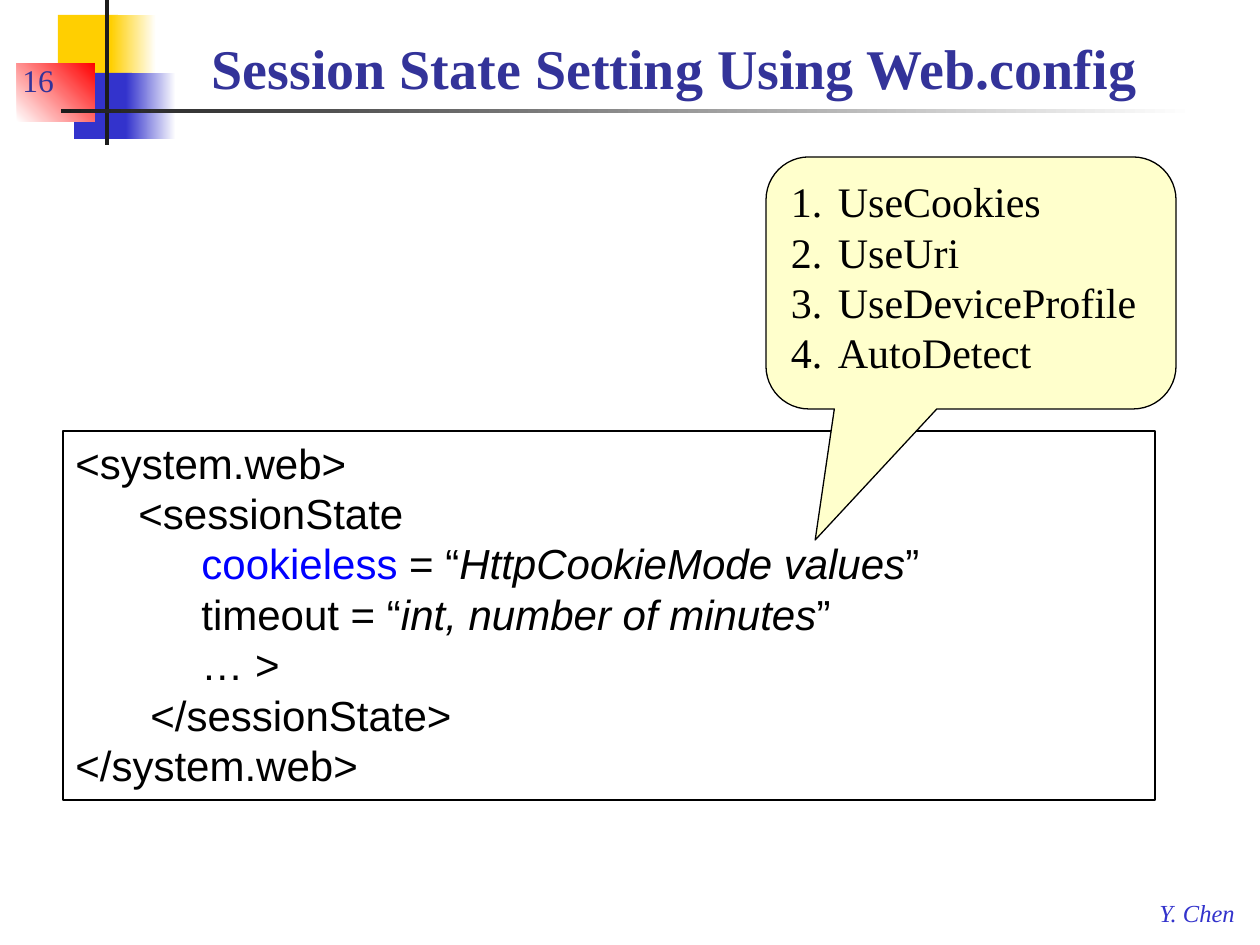
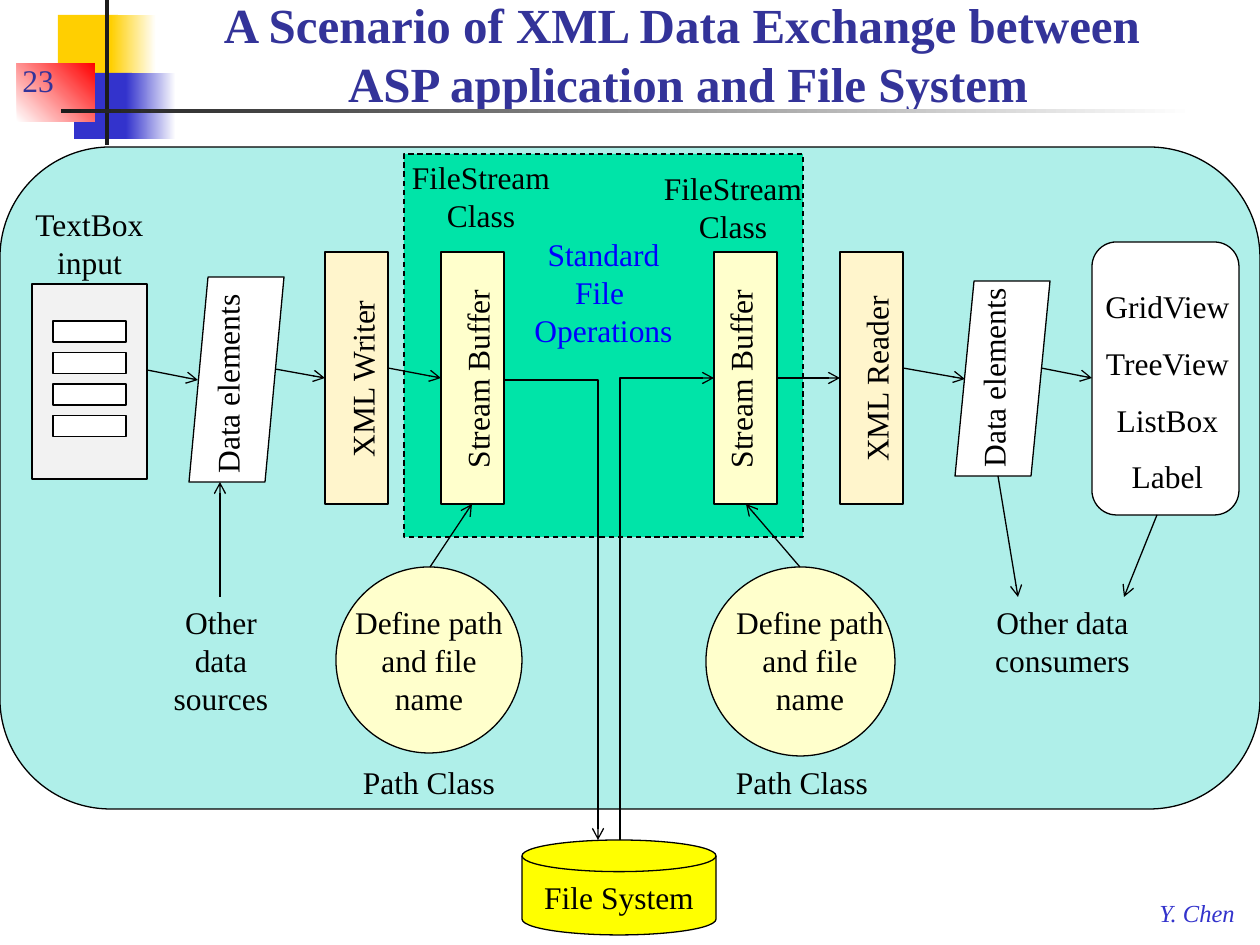
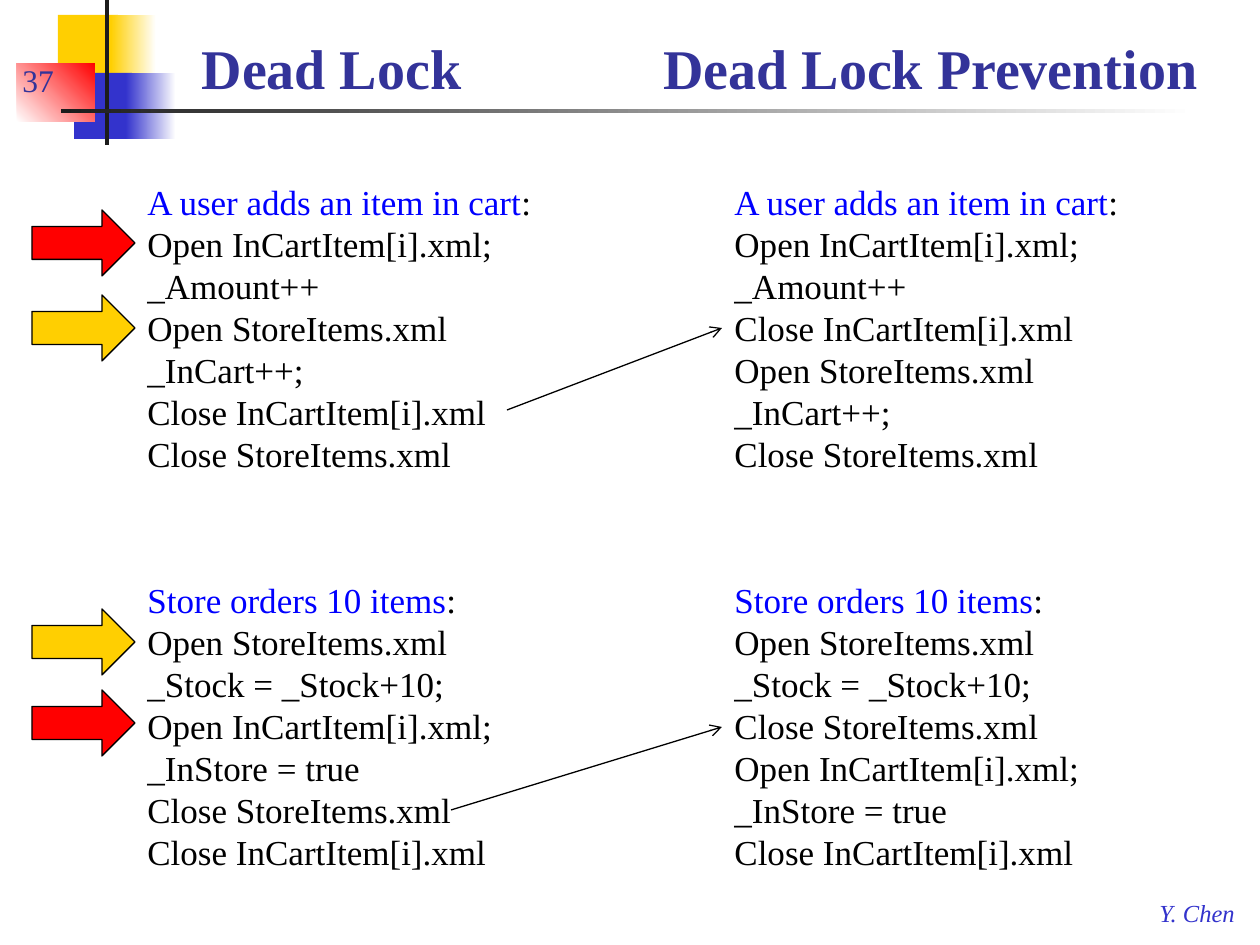
from dataclasses import dataclass

from lxml import etree
from pptx import Presentation
from pptx.dml.color import RGBColor
from pptx.enum.dml import MSO_LINE
from pptx.enum.shapes import MSO_CONNECTOR, MSO_SHAPE
from pptx.enum.text import MSO_ANCHOR, MSO_AUTO_SIZE, PP_ALIGN
from pptx.oxml.ns import qn
from pptx.util import Pt

RECTANGLE = MSO_SHAPE.RECTANGLE
ROUNDED = MSO_SHAPE.ROUNDED_RECTANGLE
CALLOUT = MSO_SHAPE.ROUNDED_RECTANGULAR_CALLOUT
DATA = MSO_SHAPE.FLOWCHART_DATA
ALTERNATE = MSO_SHAPE.FLOWCHART_ALTERNATE_PROCESS
DISK = MSO_SHAPE.FLOWCHART_MAGNETIC_DISK
ELLIPSE = MSO_SHAPE.OVAL
RIGHT_ARROW = MSO_SHAPE.RIGHT_ARROW
STRAIGHT = MSO_CONNECTOR.STRAIGHT
ELBOW = MSO_CONNECTOR.ELBOW
DASH = MSO_LINE.DASH
LEFT, CENTER = PP_ALIGN.LEFT, PP_ALIGN.CENTER
TOP, BOTTOM = MSO_ANCHOR.TOP, MSO_ANCHOR.BOTTOM
NO_AUTOFIT = MSO_AUTO_SIZE.NONE

EMU_PER_PX = 914400 / 126
SLIDE_WIDTH, SLIDE_HEIGHT = 1260, 945


@dataclass(frozen=True)
class Theme:
    serif: str = "Times New Roman"
    sans: str = "Arial"
    black: str = "000000"
    white: str = "FFFFFF"
    ink: str = "1C1C1C"
    title: str = "333399"
    blue: str = "3333CC"
    highlight: str = "0000FF"
    gold: str = "FFCF01"
    red: str = "FF0000"
    cream: str = "FFFFCC"
    wheat: str = "FFF5CC"
    yellow: str = "FFFF00"
    aqua: str = "AFEFE9"
    green: str = "00E4A8"
    gray: str = "F2F2F2"
    title_size: int = 32
    long_title_size: int = 28
    code_size: int = 24
    listing_size: int = 20
    label_size: int = 18
    footer_size: int = 14
    line_width: float = 0.75


THEME = Theme()
TITLE_FORMAT = dict(size=THEME.title_size, color=THEME.title, bold=True, anchor=BOTTOM)


def px(value):
    return round(value * EMU_PER_PX)


def box(left, top, width, height):
    return px(left), px(top), px(width), px(height)


def rgb(color):
    return RGBColor.from_string(color)


def write(shape, paragraphs, size=THEME.label_size, color=THEME.black, font=THEME.serif,
          bold=False, italic=False, align=LEFT, anchor=TOP, wrap=True,
          spacing=None, inset_top=None, indents=None, numbered=False):
    frame = shape.text_frame
    frame.word_wrap = wrap
    frame.auto_size = NO_AUTOFIT
    frame.vertical_anchor = anchor
    if inset_top is not None:
        frame.margin_top = px(inset_top)
    for index, content in enumerate(paragraphs):
        paragraph = frame.add_paragraph() if index else frame.paragraphs[0]
        paragraph.alignment = align
        if spacing:
            paragraph.line_spacing = spacing
        if indents:
            paragraph._p.get_or_add_pPr().set("marL", str(px(indents[index])))
        if numbered:
            number_paragraph(paragraph)
        for part in [content] if isinstance(content, str) else content:
            text, changes = (part, {}) if isinstance(part, str) else part
            if text == "\n":
                paragraph.add_line_break()
                continue
            run = paragraph.add_run()
            run.text = text
            run.font.name = font
            run.font.size = Pt(size)
            run.font.bold = bold
            run.font.italic = changes.get("italic", italic)
            run.font.color.rgb = rgb(changes.get("color", color))


def number_paragraph(paragraph):
    properties = paragraph._p.get_or_add_pPr()
    properties.set("marL", str(px(47)))
    properties.set("indent", str(px(-47)))
    etree.SubElement(properties, qn("a:buAutoNum"), type="arabicPeriod")


def add_text(slide, bounds, paragraphs, **text_format):
    shape = slide.shapes.add_textbox(*box(*bounds))
    write(shape, paragraphs, **text_format)
    return shape


def add_block(slide, kind, bounds, fill=None, outlined=True, adjustments=()):
    shape = slide.shapes.add_shape(kind, *box(*bounds))
    shape.shadow.inherit = False
    for index, value in enumerate(adjustments):
        shape.adjustments[index] = value
    if fill:
        shape.fill.solid()
        shape.fill.fore_color.rgb = rgb(fill)
    else:
        shape.fill.background()
    if outlined:
        shape.line.color.rgb = rgb(THEME.black)
        shape.line.width = Pt(THEME.line_width)
    else:
        shape.line.fill.background()
    return shape


def add_fade(slide, bounds, start, end, angle=0):
    fill = add_block(slide, RECTANGLE, bounds, outlined=False).fill
    fill.gradient()
    fill.gradient_angle = angle
    for stop, color, position in zip(fill.gradient_stops, (start, end), (0, 1)):
        stop.color.rgb = rgb(color)
        stop.position = position


def add_arrow(slide, start, end, bent=False, head_at="tailEnd"):
    points = [px(value) for value in (*start, *end)]
    connector = slide.shapes.add_connector(ELBOW if bent else STRAIGHT, *points)
    connector.line.color.rgb = rgb(THEME.black)
    connector.line.width = Pt(THEME.line_width)
    properties = connector._element.spPr
    if bent:
        properties.find(qn("a:prstGeom")).set("prst", "bentConnector2")
    etree.SubElement(properties.find(qn("a:ln")), qn(f"a:{head_at}"), type="arrow")
    etree.SubElement(properties, qn("a:effectLst"))


def add_vertical_label(slide, text, center_x, center_y):
    width, height = 206, 50
    bounds = (center_x - width / 2, center_y - height / 2, width, height)
    label = add_text(slide, bounds, [text], align=CENTER, wrap=False)
    label.rotation = 270


def add_slide(presentation, number, title, bounds, **changes):
    slide = presentation.slides.add_slide(presentation.slide_layouts[5])
    placeholder = slide.shapes.title
    placeholder.left, placeholder.top, placeholder.width, placeholder.height = box(*bounds)
    write(placeholder, [title], **{**TITLE_FORMAT, **changes})
    add_block(slide, RECTANGLE, (58, 15, 60, 66), THEME.gold, outlined=False)
    add_fade(slide, (111, 15, 45, 66), THEME.gold, THEME.white)
    add_block(slide, RECTANGLE, (74, 73, 58, 66), THEME.blue, outlined=False)
    add_fade(slide, (126, 73, 50, 66), THEME.blue, THEME.white)
    add_fade(slide, (17, 63, 78, 59), THEME.white, THEME.red, angle=45)
    add_block(slide, RECTANGLE, (105, 0, 4, 145), THEME.ink, outlined=False)
    add_fade(slide, (61, 109, 1134, 4), THEME.ink, THEME.white)
    add_text(slide, (1147, 892, 103, 42), ["Y. Chen"], size=THEME.footer_size,
             color=THEME.blue, italic=True, wrap=False)
    add_text(slide, (10, 42, 95, 63), [str(number)], color=THEME.title, anchor=BOTTOM)
    return slide


def build_session_state(presentation):
    slide = add_slide(presentation, 16, "Session State Setting Using Web.config",
                      (199, 21, 1050, 86))
    code = add_block(slide, RECTANGLE, (63, 431, 1092, 369))
    italic = {"italic": True}
    write(code, [
        "<system.web>",
        "<sessionState",
        [("cookieless ", {"color": THEME.highlight}), "= “",
         ("HttpCookieMode values", italic), "”"],
        ["timeout = “", ("int, number of minutes", italic), "”"],
        "… >",
        "</sessionState>",
        "</system.web>",
    ], size=THEME.code_size, font=THEME.sans, indents=(0, 63, 126, 126, 126, 75, 0))
    modes = add_block(slide, CALLOUT, (766, 157, 410, 252), THEME.cream,
                      adjustments=(-0.38, 1.02, 0.17))
    write(modes, ["UseCookies", "UseUri", "UseDeviceProfile", "AutoDetect"],
          size=THEME.code_size, numbered=True)


def add_stage(slide, text, left, fill, label_x):
    add_block(slide, RECTANGLE, (left, 252, 63, 252), fill)
    add_vertical_label(slide, text, label_x, 379)


def add_data_elements(slide, bounds, label_x, label_y):
    add_block(slide, DATA, bounds, THEME.white)
    add_vertical_label(slide, "Data elements", label_x, label_y)


def add_path_class(slide, circle, text_left, caption_left):
    add_block(slide, ELLIPSE, circle, THEME.cream)
    add_text(slide, (text_left, 597, 186, 127), ["Define path and file name"], align=CENTER)
    add_text(slide, (caption_left, 757, 186, 50), ["Path Class"], align=CENTER)


def build_data_exchange(presentation):
    title = ["A Scenario of XML Data Exchange between ", "\n",
             "ASP application and File System"]
    slide = add_slide(presentation, 23, title, (189, -10, 998, 129),
                      size=THEME.long_title_size, align=CENTER)
    add_block(slide, ROUNDED, (0, 147, 1260, 662), THEME.aqua, adjustments=(0.167,))
    operations = add_block(slide, RECTANGLE, (404, 154, 399, 383), THEME.green)
    operations.line.dash_style = DASH
    write(operations, ["Standard", "File ", "Operations"], color=THEME.highlight,
          align=CENTER, inset_top=81)

    add_block(slide, RECTANGLE, (32, 284, 115, 195), THEME.gray)
    for row in range(4):
        add_block(slide, RECTANGLE, (53, 321 + row * 63 / 2, 73, 21), THEME.white)
    add_text(slide, (21, 199, 137, 89), ["TextBox", "input"], align=CENTER, wrap=False)

    add_data_elements(slide, (189, 277, 95, 205), 227, 384)
    add_data_elements(slide, (955, 281, 95, 195), 993, 378)
    for text, left, fill, label_x in (
        ("XML Writer", 325, THEME.wheat, 362),
        ("Stream Buffer", 441, THEME.cream, 477),
        ("Stream Buffer", 714, THEME.cream, 740),
        ("XML Reader", 840, THEME.wheat, 876),
    ):
        add_stage(slide, text, left, fill, label_x)
    for left, top in ((388, 152), (640, 163)):
        add_text(slide, (left, top, 186, 89), ["FileStream", "Class"], align=CENTER)

    disk = add_block(slide, DISK, (522, 840, 194, 95), THEME.yellow)
    write(disk, ["File System"], align=CENTER)
    add_block(slide, ALTERNATE, (1092, 242, 147, 273), THEME.white)
    add_text(slide, (1092, 262, 151, 234), ["GridView", "TreeView", "ListBox", "Label"],
             align=CENTER, wrap=False, spacing=1.5)
    add_path_class(slide, (336, 567, 186, 186), 336, 336)
    add_path_class(slide, (706, 567, 189, 189), 717, 709)
    add_text(slide, (158, 597, 126, 127), ["Other data sources"], align=CENTER)
    add_text(slide, (968, 597, 189, 89), ["Other data consumers"], align=CENTER)

    for start, end in (
        ((147, 370), (198, 380)),
        ((275, 369), (325, 378)),
        ((388, 368), (441, 378)),
        ((777, 378), (840, 378)),
        ((903, 368), (965, 379)),
        ((1041, 368), (1092, 378)),
        ((430, 567), (472, 504)),
        ((800, 567), (746, 504)),
        ((220, 597), (220, 482)),
        ((998, 476), (1018, 597)),
        ((1157, 515), (1124, 597)),
    ):
        add_arrow(slide, start, end)
    add_arrow(slide, (503, 380), (598, 840), bent=True)
    add_arrow(slide, (714, 378), (620, 840), bent=True, head_at="headEnd")


def add_listing(slide, left, top, heading, steps):
    first_line = [(heading, {"color": THEME.highlight}), ":"]
    add_text(slide, (left, top, 412, 310), [first_line, *steps],
             size=THEME.listing_size)


def build_dead_lock(presentation):
    slide = add_slide(presentation, 37, "Dead Lock", (189, 21, 325, 86))
    add_text(slide, (651, 21, 577, 86), ["Dead Lock Prevention"], **TITLE_FORMAT)
    open_cart, close_cart = "Open InCartItem[i].xml;", "Close InCartItem[i].xml"
    open_store, close_store = "Open StoreItems.xml", "Close StoreItems.xml"
    scenarios = (
        (174, "A user adds an item in cart", (open_cart, "_Amount++"),
         (open_store, "_InCart++;"), close_cart, close_store),
        (572, "Store orders 10 items", (open_store, "_Stock = _Stock+10;"),
         (open_cart, "_InStore = true"), close_store, close_cart),
    )
    for top, heading, first, second, close_first, close_second in scenarios:
        add_listing(slide, 135, top, heading,
                    [*first, *second, close_first, close_second])
        add_listing(slide, 722, top, heading,
                    [*first, close_first, *second, close_second])
    add_arrow(slide, (507, 410), (722, 328))
    add_arrow(slide, (451, 810), (722, 727))
    for top, fill in ((210, THEME.red), (295, THEME.gold),
                      (609, THEME.gold), (690, THEME.red)):
        add_block(slide, RIGHT_ARROW, (32, top, 103, 66), fill, adjustments=(0.5, 0.5))


def main():
    presentation = Presentation()
    presentation.slide_width = px(SLIDE_WIDTH)
    presentation.slide_height = px(SLIDE_HEIGHT)
    build_session_state(presentation)
    build_data_exchange(presentation)
    build_dead_lock(presentation)
    presentation.save("out.pptx")


if __name__ == "__main__":
    main()
